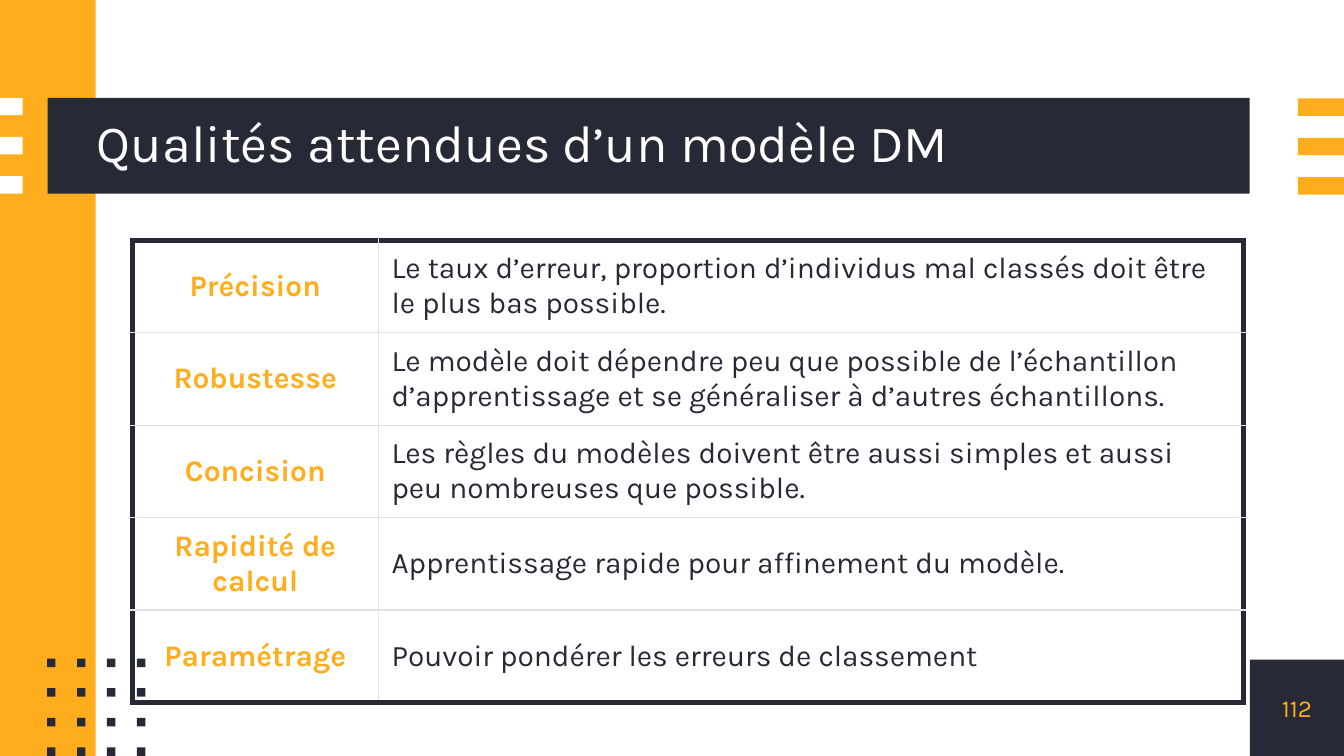
from lxml import etree
from pptx import Presentation
from pptx import util as u
from pptx.dml.color import RGBColor
from pptx.enum import shapes, text
from pptx.oxml.ns import qn

COLOURS = {"dark": "272A36", "accent": "FFAD1D", "white": "FFFFFF", "grid": "E0E0E7"}
FONT = "Karla"
WIDTH, HEIGHT = 25.4, 14.29
QUALITIES = [
    ("Précision", "Le taux d’erreur, proportion d’individus mal classés doit être le plus bas possible."),
    ("Robustesse", "Le modèle doit dépendre peu que possible de l’échantillon d’apprentissage "
                   "et se généraliser à d’autres échantillons."),
    ("Concision", "Les règles du modèles doivent être aussi simples et aussi peu nombreuses que possible."),
    ("Rapidité de calcul", "Apprentissage rapide pour affinement du modèle."),
    ("Paramétrage", "Pouvoir pondérer les erreurs de classement"),
]


def add_block(page, box, colour):
    """Draw a plain filled rectangle in a box given in centimetres."""
    block = page.shapes.add_shape(shapes.MSO_SHAPE.RECTANGLE, *map(u.Cm, box))
    block.shadow.inherit = False
    block.fill.solid()
    block.fill.fore_color.rgb = RGBColor.from_string(COLOURS[colour])
    block.line.fill.background()


def write(frame, words, size, colour, align, bold=False):
    """Put one formatted run into a vertically centred text frame or cell."""
    frame.vertical_anchor = text.MSO_ANCHOR.MIDDLE
    holder = getattr(frame, "text_frame", frame)
    holder.word_wrap = True
    para = holder.paragraphs[0]
    para.alignment = align
    span = para.add_run()
    span.text = words
    span.font.name, span.font.size, span.font.bold = FONT, u.Pt(size), bold
    span.font.color.rgb = RGBColor.from_string(COLOURS[colour])
    return para


def clear_margins(frame):
    """Remove the inner margins and automatic fitting of a text frame."""
    frame.margin_left = frame.margin_right = frame.margin_top = frame.margin_bottom = 0
    frame.auto_size = text.MSO_AUTO_SIZE.NONE


def add_bars(page, box, colour):
    """Spread three equal horizontal bars over the height of a box."""
    left, top, width, height = box
    thickness = 0.33
    pitch = (height - thickness) / 2
    for row in range(3):
        add_block(page, (left, top + row * pitch, width, thickness), colour)


def add_dots(page, box):
    """Spread a four by four grid of small squares over a box."""
    left, top, width, height = box
    side = 0.16
    for row in range(4):
        for column in range(4):
            place = (left + column * (width - side) / 3, top + row * (height - side) / 3)
            add_block(page, (*place, side, side), "dark")


def add_title(page, box, words):
    """Draw the title band and lay the title placeholder over it."""
    add_block(page, box, "dark")
    left, top, width, height = box
    indent = 0.93
    title = page.shapes.title
    title.left, title.top, title.width, title.height = map(
        u.Cm, (left + indent, top, width - indent, height))
    page.shapes._spTree.append(title._element)
    clear_margins(title.text_frame)
    para = write(title.text_frame, words, 28, "white", text.PP_ALIGN.LEFT)
    para.line_spacing = 0.9


def add_page_number(page, box, number):
    """Draw the corner square with the page number centred in it."""
    add_block(page, box, "dark")
    frame = page.shapes.add_textbox(*map(u.Cm, box)).text_frame
    clear_margins(frame)
    write(frame, number, 13, "accent", text.PP_ALIGN.CENTER)


def set_borders(cell, outer_sides):
    """Give a cell thick dark outer borders and thin pale inner ones."""
    properties = cell._tc.get_or_add_tcPr()
    for index, side in enumerate("LRTB"):
        points, colour = (3, "dark") if side in outer_sides else (0.75, "grid")
        line = etree.Element(qn(f"a:ln{side}"), w=str(u.Pt(points)))
        fill = etree.SubElement(line, qn("a:solidFill"))
        etree.SubElement(fill, qn("a:srgbClr"), val=COLOURS[colour])
        properties.insert(index, line)


def add_quality_table(page, box):
    """Build the table of model qualities inside a box."""
    left, top, width, height = box
    table = page.shapes.add_table(len(QUALITIES), 2, *map(u.Cm, box)).table
    table.first_row = table.horz_banding = False
    name_width = 4.65
    table.columns[0].width, table.columns[1].width = u.Cm(name_width), u.Cm(width - name_width)
    styles = [("accent", text.PP_ALIGN.CENTER, True), ("dark", text.PP_ALIGN.LEFT, False)]
    for row, quality in enumerate(QUALITIES):
        table.rows[row].height = u.Cm(height / len(QUALITIES))
        for column, (words, style) in enumerate(zip(quality, styles)):
            cell = table.cell(row, column)
            cell.margin_left = cell.margin_right = u.Cm(0.25)
            cell.margin_top = cell.margin_bottom = u.Cm(0.18)
            cell.fill.background()
            write(cell, words, 16, *style)
            outer = "LR"[column] + ("T" if row == 0 else "")
            set_borders(cell, outer + ("B" if row == len(QUALITIES) - 1 else ""))


def main():
    """Assemble the slide and save the deck."""
    deck = Presentation()
    deck.slide_width, deck.slide_height = u.Cm(WIDTH), u.Cm(HEIGHT)
    page = deck.slides.add_slide(deck.slide_layouts[5])
    add_block(page, (0, 0, 1.81, HEIGHT), "accent")
    add_title(page, (0.9, 1.85, 22.72, 1.81), "Qualités attendues d’un modèle DM")
    add_bars(page, (0, 1.85, 0.43, 1.81), "white")
    add_bars(page, (24.53, 1.86, 0.87, 1.82), "accent")
    add_dots(page, (0.89, 12.45, 1.86, 1.84))
    add_page_number(page, (23.62, 12.47, 1.78, 1.82), "112")
    add_quality_table(page, (2.5, 4.54, 21, 8.74))
    deck.save("out.pptx")


if __name__ == "__main__":
    main()
